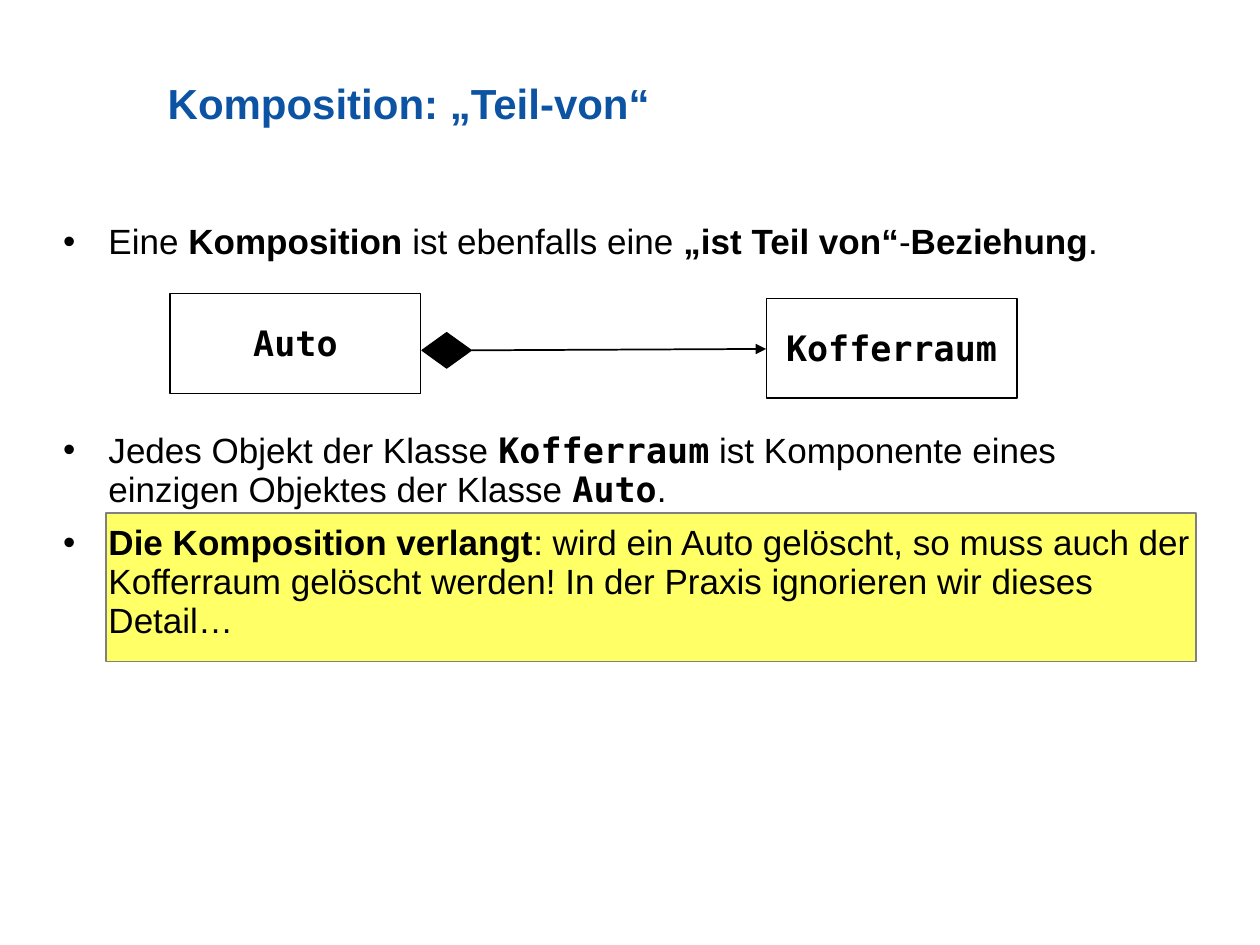
from pptx import Presentation
from pptx.dml.color import RGBColor
from pptx.enum.shapes import MSO_CONNECTOR as Connector, MSO_SHAPE as Shape
from pptx.enum.text import MSO_ANCHOR as Anchor, MSO_AUTO_SIZE as AutoSize, PP_ALIGN as Align
from pptx.oxml.ns import qn
from pptx.util import Pt
from lxml.etree import SubElement

COLORS = {"title": "0C53A3", "text": "000000", "line": "000000", "box": "FFFFFF",
          "highlight": "FFFF66", "highlight_line": "808080"}
SANS, MONO = "Arial", "DejaVu Sans Mono"
INDENT = 26
BULLETS = [
    (0, [("Eine ", "plain"), ("Komposition", "bold"), (" ist ebenfalls eine ", "plain"),
         ("„ist Teil von“", "bold"), ("-", "plain"), ("Beziehung", "bold"), (".", "plain")]),
    (97, [("Jedes Objekt der Klasse ", "plain"), ("Kofferraum", "code"),
          (" ist Komponente eines einzigen Objektes der Klasse ", "plain"),
          ("Auto", "code"), (".", "plain")]),
    (8, [("Die Komposition verlangt", "bold"),
         (": wird ein Auto gelöscht, so muss auch der Kofferraum gelöscht werden! "
          "In der Praxis ignorieren wir dieses Detail…", "plain")]),
]


def rgb(role):
    """Return the colour of a role."""
    return RGBColor.from_string(COLORS[role])


def set_font(font, size, role, name=SANS, bold=None):
    """Format a font."""
    font.name, font.size, font.bold = name, Pt(size), bold
    font.color.rgb = rgb(role)


def place(holder, left, top, width, height):
    """Move a placeholder and return its frame without side margins."""
    holder.left, holder.top, holder.width, holder.height = map(Pt, (left, top, width, height))
    frame = holder.text_frame
    frame.margin_left = frame.margin_right = frame.margin_top = frame.margin_bottom = 0
    frame.word_wrap, frame.auto_size = True, AutoSize.NONE
    return frame


def write_title(holder):
    """Fill the title placeholder."""
    frame = place(holder, 95.8, 23.8, 612, 72)
    frame.vertical_anchor = Anchor.MIDDLE
    heading = frame.paragraphs[0]
    heading.text = "Komposition: „Teil-von“"
    heading.alignment, heading.line_spacing = Align.LEFT, 0.95
    set_font(heading.font, 24, "title", bold=True)


def write_bullets(holder):
    """Fill the body placeholder with the bulleted statements."""
    frame = place(holder, 36, 126, 647.3, 356.4)
    frame.margin_top = Pt(1.4)
    frame.vertical_anchor = Anchor.TOP
    for index, (space, parts) in enumerate(BULLETS):
        statement = frame.add_paragraph() if index else frame.paragraphs[0]
        statement.line_spacing, statement.space_before = 0.93, Pt(space)
        properties = statement._p.get_or_add_pPr()
        properties.set("marL", str(Pt(INDENT)))
        properties.set("indent", str(-Pt(INDENT)))
        SubElement(properties, qn("a:buChar")).set("char", "•")
        set_font(statement.font, 20, "text")
        for wording, style in parts:
            run = statement.add_run()
            run.text = wording
            if style != "plain":
                run.font.bold = True
            if style == "code":
                run.font.name = MONO


def add_block(slide, kind, frame, fill, line, weight=0.75):
    """Add a filled, outlined shape."""
    block = slide.shapes.add_shape(kind, *map(Pt, frame))
    block.shadow.inherit = False
    block.fill.solid()
    block.fill.fore_color.rgb = rgb(fill)
    block.line.color.rgb = rgb(line)
    block.line.width = Pt(weight)
    return block


def add_class(slide, name, left, top):
    """Add a class box with its name."""
    box = add_block(slide, Shape.RECTANGLE, (left, top, 143.3, 56.9), "box", "line")
    frame = box.text_frame
    frame.word_wrap, frame.vertical_anchor = False, Anchor.MIDDLE
    frame.margin_top, frame.margin_bottom = Pt(5.8), Pt(3.6)
    label = frame.paragraphs[0]
    label.text = name
    label.alignment, label.line_spacing = Align.CENTER, 0.89
    set_font(label.font, 20, "text", MONO, True)


def add_arrow(slide, start, end):
    """Add an arrow between two points."""
    arrow = slide.shapes.add_connector(Connector.STRAIGHT, *map(Pt, start + end))
    arrow.line.color.rgb = rgb("line")
    arrow.line.width = Pt(1)
    SubElement(arrow.line._get_or_add_ln(), qn("a:tailEnd")).set("type", "triangle")
    SubElement(arrow.element.spPr, qn("a:effectLst"))


def main():
    """Build and save the slide."""
    deck = Presentation()
    deck.slide_width, deck.slide_height = Pt(720), Pt(540)
    slide = deck.slides.add_slide(deck.slide_layouts[1])
    title, body = slide.placeholders
    write_title(title)
    write_bullets(body)
    highlight = add_block(slide, Shape.RECTANGLE, (60.5, 293, 622.8, 85),
                          "highlight", "highlight_line", 1)
    title.element.addprevious(highlight.element)
    add_block(slide, Shape.DIAMOND, (241.2, 190.1, 28.1, 20.2), "line", "line")
    add_class(slide, "Auto", 97.2, 167.8)
    add_class(slide, "Kofferraum", 437.8, 170.6)
    add_arrow(slide, (269.3, 200.2), (437.8, 199.4))
    deck.save("out.pptx")


if __name__ == "__main__":
    main()
